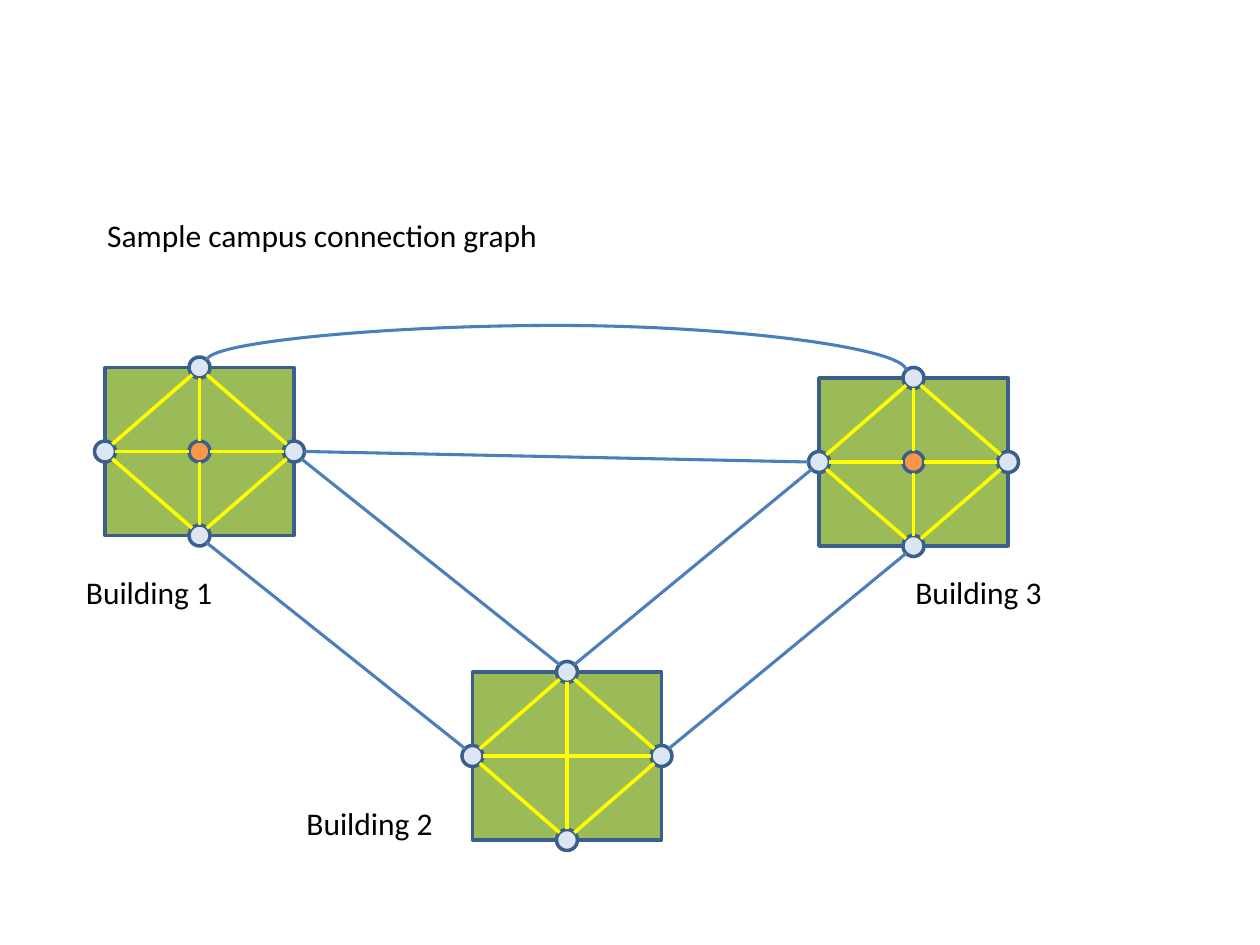
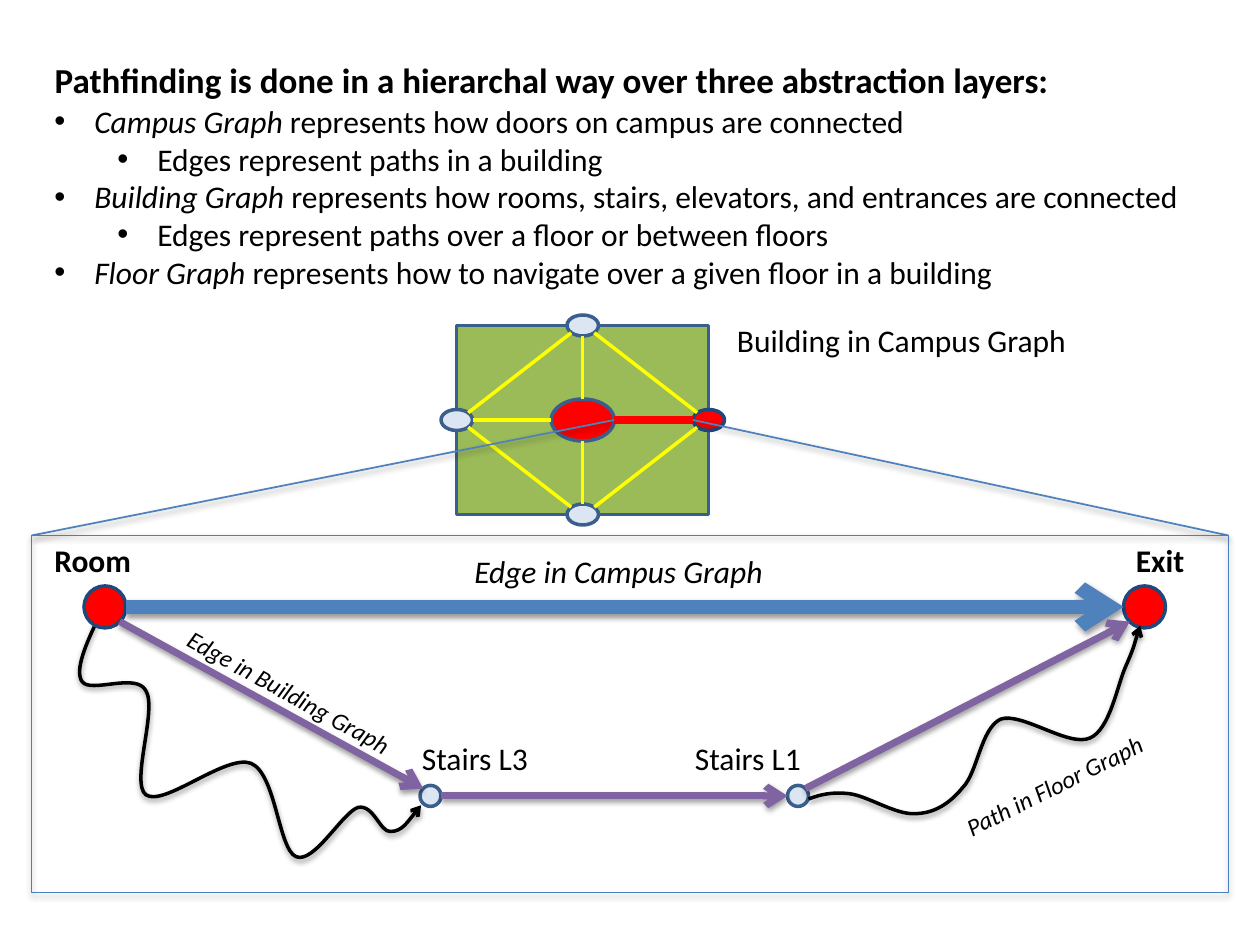
from dataclasses import dataclass
from math import sqrt

from lxml.etree import SubElement
from pptx import Presentation
from pptx.dml.color import RGBColor
from pptx.enum.shapes import MSO_CONNECTOR, MSO_SHAPE
from pptx.enum.text import MSO_ANCHOR, MSO_AUTO_SIZE, PP_ALIGN
from pptx.oxml.ns import qn
from pptx.util import Emu, Pt

PX = 7620
FONT = "Calibri"
BLACK, RED, YELLOW = "000000", "FF0000", "FFFF00"
GREEN, PALE, ORANGE = "9BBB59", "DCE6F2", "F79646"
OUTLINE, NAVY, LINK, BLUE, PURPLE = "3A5F8C", "1F497D", "4B7EBC", "4F81BD", "8064A2"
COMPASS = [(0, -1), (1, 0), (0, 1), (-1, 0)]
NORTH, EAST, SOUTH, WEST = COMPASS
NE, SE, SW, NW = (1, -1), (1, 1), (-1, 1), (-1, -1)
Point = tuple[int, int]


@dataclass(frozen=True)
class Node:
    """An ellipse given by its centre."""
    x: int
    y: int
    width: int
    height: int
    fill: str = PALE
    outline: str = OUTLINE

    def rim(self, toward: Point) -> Point:
        """Return the rim point in a compass direction."""
        dx, dy = toward
        reach = sqrt(dx * dx + dy * dy) * 2
        return round(self.x + dx * self.width / reach), round(self.y + dy * self.height / reach)


@dataclass(frozen=True)
class Building:
    """A building with a door on each side and perhaps a hub room."""
    x: int
    y: int
    width: int = 180
    height: int = 160
    door_width: int = 20
    hub: Node | None = None
    exit_side: Point | None = None

    def door(self, side: Point) -> Node:
        """Return the door on one side."""
        colours = (RED, NAVY) if side == self.exit_side else (PALE, OUTLINE)
        return Node(self.x + side[0] * self.width // 2, self.y + side[1] * self.height // 2,
                    self.door_width, 20, *colours)


@dataclass(frozen=True)
class Label:
    """A short caption."""
    text: str
    left: int
    top: int
    width: int
    height: int = 48
    size: int = 18
    bold: bool = False
    italic: bool = False
    rotation: float = 0


def rgb(colour: str) -> RGBColor:
    """Turn a hex string into a colour."""
    return RGBColor.from_string(colour)


def px(*lengths: float) -> list[Emu]:
    """Turn px lengths into EMU."""
    return [Emu(round(length * PX)) for length in lengths]


def write(paragraph, text: str, *, size: int = 18, bold: bool = False, italic: bool = False) -> None:
    """Add a formatted run to a paragraph."""
    run = paragraph.add_run()
    run.text = text
    font = run.font
    font.name, font.size, font.bold, font.italic = FONT, Pt(size), bold, italic
    font.color.rgb = rgb(BLACK)


def add_shadow(shape, distance: int = 20000, alpha: int = 38000) -> None:
    """Give a shape a soft shadow straight below it."""
    properties = shape._element.spPr
    for effects in properties.findall(qn("a:effectLst")):
        properties.remove(effects)
    shadow = SubElement(SubElement(properties, qn("a:effectLst")), qn("a:outerShdw"),
                        blurRad="40000", dist=str(distance), dir="5400000", rotWithShape="0")
    SubElement(SubElement(shadow, qn("a:srgbClr"), val=BLACK), qn("a:alpha"), val=str(alpha))


def style_line(shape, colour: str, weight: float, arrow: bool = False) -> None:
    """Set line colour, weight and end arrow."""
    shape.line.color.rgb = rgb(colour)
    shape.line.width = Pt(weight)
    if arrow:
        SubElement(shape.line._get_or_add_ln(), qn("a:tailEnd"), type="arrow")


def add_line(slide, start: Point, end: Point, colour: str, weight: float,
             kind=MSO_CONNECTOR.STRAIGHT, arrow: bool = False, shadow: bool = False):
    """Draw a connector between two points."""
    line = slide.shapes.add_connector(kind, *px(*start, *end))
    style_line(line, colour, weight, arrow)
    if shadow:
        add_shadow(line)
    else:
        SubElement(line._element.spPr, qn("a:effectLst"))
    return line


def add_arch(slide, start: Point, end: Point, peak: int) -> None:
    """Draw a curved link that rises to a peak between two points."""
    span, drop = end[0] - start[0], end[1] - start[1]
    x, y = (start[0] + end[0]) / 2, (start[1] + end[1]) / 2
    arch = add_line(slide, (x + drop / 2, y - span / 2), (x - drop / 2, y + span / 2),
                    LINK, 1.75, MSO_CONNECTOR.CURVE)
    properties = arch._element.spPr
    properties.find(qn("a:xfrm")).set("rot", "16200000")
    bend = round((peak - start[1]) / drop * 100000)
    SubElement(properties.find(".//" + qn("a:avLst")), qn("a:gd"), name="adj1", fmla=f"val {bend}")


def add_area(slide, kind, left: float, top: float, width: int, height: int,
             fill: str | None, outline: str, weight: float = 2):
    """Draw a preset shape with an optional fill."""
    area = slide.shapes.add_shape(kind, *px(left, top, width, height))
    area.shadow.inherit = False
    if fill:
        area.fill.solid()
        area.fill.fore_color.rgb = rgb(fill)
    else:
        area.fill.background()
    style_line(area, outline, weight)
    return area


def add_node(slide, node: Node) -> None:
    """Draw a graph node."""
    add_area(slide, MSO_SHAPE.OVAL, node.x - node.width / 2, node.y - node.height / 2,
             node.width, node.height, node.fill, node.outline)


def add_building(slide, building: Building) -> None:
    """Draw a building, its doors and the edges between them."""
    add_area(slide, MSO_SHAPE.RECTANGLE, building.x - building.width / 2,
             building.y - building.height / 2, building.width, building.height, GREEN, OUTLINE)
    doors = {side: building.door(side) for side in COMPASS}
    for door in doors.values():
        add_node(slide, door)
    for side, following in zip(COMPASS, COMPASS[1:] + COMPASS[:1]):
        dx, dy = following[0] - side[0], following[1] - side[1]
        add_line(slide, doors[side].rim((dx, dy)), doors[following].rim((-dx, -dy)), YELLOW, 2)
    if building.hub is None:
        for side, opposite in ((SOUTH, NORTH), (WEST, EAST)):
            add_line(slide, doors[side].rim(opposite), doors[opposite].rim(side), YELLOW, 2)
        return
    add_node(slide, building.hub)
    for side, door in doors.items():
        colour, weight = (RED, 4.75) if side == building.exit_side else (YELLOW, 2)
        add_line(slide, building.hub.rim(side), door.rim((-side[0], -side[1])), colour, weight)


def add_walk(slide, points: list[Point]) -> None:
    """Draw a winding arrow through cubic curve points."""
    builder = slide.shapes.build_freeform(*points[0], scale=PX)
    builder.add_line_segments(points[1:], close=False)
    walk = builder.convert_to_shape()
    walk.fill.background()
    style_line(walk, BLACK, 2, arrow=True)
    add_shadow(walk)
    steps = walk._element.findall(".//" + qn("a:lnTo"))
    for index in range(0, len(steps), 3):
        curve = SubElement(steps[index].getparent(), qn("a:cubicBezTo"))
        for step in steps[index:index + 3]:
            curve.append(step[0])
            step.getparent().remove(step)


def add_label(slide, label: Label) -> None:
    """Place a caption."""
    box = slide.shapes.add_textbox(*px(label.left, label.top, label.width, label.height))
    box.rotation = label.rotation
    box.text_frame.word_wrap = False
    box.text_frame.auto_size = MSO_AUTO_SIZE.SHAPE_TO_FIT_TEXT
    write(box.text_frame.paragraphs[0], label.text,
          size=label.size, bold=label.bold, italic=label.italic)


def add_titled_slide(deck, text: str, box: tuple[int, int, int, int], **font):
    """Add a title-only slide and format its title."""
    slide = deck.slides.add_slide(deck.slide_layouts[5])
    title = slide.shapes.title
    title.left, title.top, title.width, title.height = px(*box)
    frame = title.text_frame
    frame.word_wrap, frame.auto_size = True, MSO_AUTO_SIZE.NONE
    frame.vertical_anchor = MSO_ANCHOR.TOP
    frame.paragraphs[0].alignment = PP_ALIGN.LEFT
    write(frame.paragraphs[0], text, **font)
    return slide


def add_layers(slide, layers: list[tuple[int, str, str]]) -> None:
    """Write the bulleted abstraction layers."""
    frame = slide.shapes.add_textbox(*px(40, 91, 1108, 193)).text_frame
    frame.word_wrap = True
    for index, (level, term, meaning) in enumerate(layers):
        paragraph = frame.add_paragraph() if index else frame.paragraphs[0]
        paragraph.level = level
        properties = paragraph._p.get_or_add_pPr()
        properties.set("marL", str((38 + 60 * level) * PX))
        properties.set("indent", str(-38 * PX))
        SubElement(properties, qn("a:buFont"), typeface="Arial")
        SubElement(properties, qn("a:buChar"), char="•")
        if term:
            write(paragraph, term, italic=True)
        write(paragraph, meaning)


def build_campus(deck) -> None:
    """Build the campus graph slide."""
    slide = add_titled_slide(deck, "Sample campus connection graph", (90, 200, 460, 48))
    first = Building(190, 430, hub=Node(190, 430, 20, 20, ORANGE))
    second = Building(540, 720)
    third = Building(870, 440, hub=Node(870, 440, 20, 20, ORANGE))
    for building in (first, third, second):
        add_building(slide, building)
    for start, leaving, end, arriving in (
        (first.door(SOUTH), SE, second.door(WEST), NW),
        (second.door(EAST), NE, third.door(SOUTH), SW),
        (first.door(EAST), SE, second.door(NORTH), NW),
        (second.door(NORTH), NE, third.door(WEST), SW),
        (first.door(EAST), EAST, third.door(WEST), WEST),
    ):
        add_line(slide, start.rim(leaving), end.rim(arriving), LINK, 1.75)
    add_arch(slide, first.door(NORTH).rim(NE), third.door(NORTH).rim(NW), 310)
    for number, (left, top) in enumerate([(70, 540), (280, 760), (860, 540)], 1):
        add_label(slide, Label(f"Building {number}", left, top, 145))


def build_layers(deck) -> None:
    """Build the abstraction layers slide."""
    slide = add_titled_slide(
        deck, "Pathfinding is done in a hierarchal way over three abstraction layers:",
        (40, 50, 1108, 53), size=20, bold=True)
    add_walk(slide, [
        (94, 588), (82, 613), (71, 638), (78, 649), (86, 661), (130, 640), (139, 658),
        (150, 676), (124, 746), (139, 757), (156, 769), (215, 718), (239, 727),
        (263, 737), (265, 809), (282, 816), (299, 823), (326, 774), (341, 769),
        (356, 766), (362, 793), (372, 792), (383, 792), (401, 767), (401, 767)])
    hub = Node(555, 400, 60, 40, RED)
    building = Building(555, 400, 240, 180, 30, hub, EAST)
    add_building(slide, building)
    room, way_out = (Node(x, 578, 40, 40, RED, NAVY) for x in (100, 1090))
    upper_stairs, lower_stairs = (Node(x, 758, 20, 20) for x in (410, 760))
    for node in (room, way_out, upper_stairs, lower_stairs):
        add_node(slide, node)
    for start, leaving, end, arriving, colour, weight in (
        (room, EAST, way_out, WEST, BLUE, 8),
        (room, SE, upper_stairs, NW, PURPLE, 4),
        (upper_stairs, EAST, lower_stairs, WEST, PURPLE, 4),
        (lower_stairs, NE, way_out, SW, PURPLE, 4),
    ):
        add_line(slide, start.rim(leaving), end.rim(arriving), colour, weight, arrow=True, shadow=True)
    add_walk(slide, [
        (770, 761), (781, 757), (792, 754), (809, 756), (826, 758), (853, 776), (871, 775),
        (889, 775), (904, 766), (917, 750), (931, 736), (934, 694), (953, 685),
        (973, 678), (1018, 712), (1038, 703), (1057, 695), (1064, 653), (1072, 635),
        (1080, 617), (1082, 607), (1086, 596)])
    add_layers(slide, [
        (0, "Campus Graph ", "represents how doors on campus are connected"),
        (1, "", "Edges represent paths in a building"),
        (0, "Building Graph ", "represents how rooms, stairs, elevators, and entrances are connected"),
        (1, "", "Edges represent paths over a floor or between floors"),
        (0, "Floor Graph ", "represents how to navigate over a given floor in a building")])
    add_line(slide, hub.rim(EAST), (30, 510), BLUE, 1, shadow=True)
    add_line(slide, building.door(EAST).rim(WEST), (1170, 510), BLUE, 1, shadow=True)
    zoom = add_area(slide, MSO_SHAPE.RECTANGLE, 30, 510, 1140, 340, None, LINK, 0.75)
    add_shadow(zoom, 23000, 35000)
    for label in (
        Label("Room", 40, 509, 98, bold=True),
        Label("Exit", 1070, 509, 71, bold=True),
        Label("Stairs L3", 390, 698, 127),
        Label("Stairs L1", 650, 698, 127),
        Label("Edge in Campus Graph", 440, 520, 310, italic=True),
        Label("Edge in Building Graph", 155, 641, 247, 41, 14, italic=True, rotation=28.9),
        Label("Path in Floor Graph", 900, 726, 216, 41, 14, italic=True, rotation=333.5),
        Label("Building in Campus Graph", 690, 300, 342),
    ):
        add_label(slide, label)


def main() -> None:
    """Build and save the deck."""
    deck = Presentation()
    deck.slide_width, deck.slide_height = px(1200, 900)
    build_campus(deck)
    build_layers(deck)
    deck.save("out.pptx")


if __name__ == "__main__":
    main()
